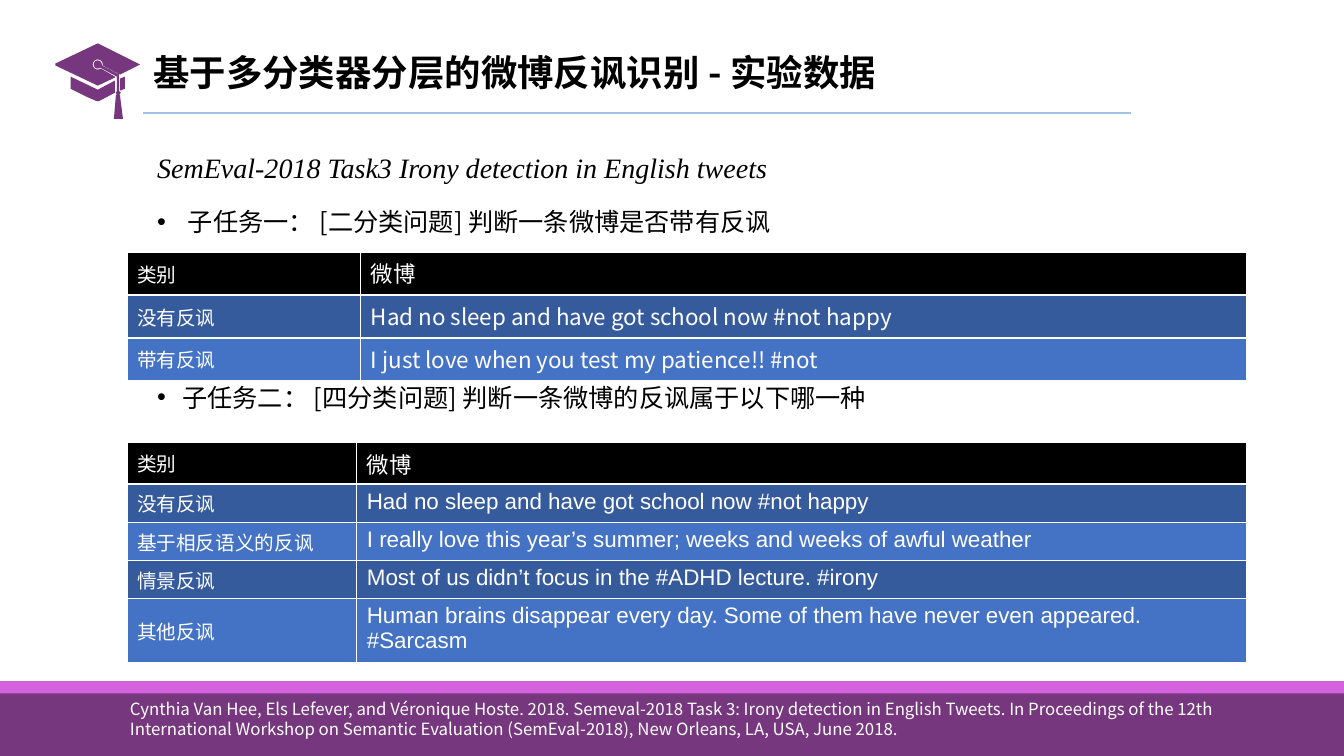
from math import cos, radians, sin

from lxml import etree
from pptx import Presentation
from pptx.dml.color import RGBColor
from pptx.enum.shapes import MSO_CONNECTOR, MSO_SHAPE
from pptx.enum.text import MSO_ANCHOR, PP_ALIGN
from pptx.oxml.ns import qn
from pptx.util import Inches, Pt

RECT, STRAIGHT = MSO_SHAPE.RECTANGLE, MSO_CONNECTOR.STRAIGHT
MIDDLE, TOP, LEFT = MSO_ANCHOR.MIDDLE, MSO_ANCHOR.TOP, PP_ALIGN.LEFT

WIDTH, HEIGHT = Inches(13.33), Inches(7.5)
SANS, ARIAL, SERIF = "Noto Sans CJK SC", "Arial", "Times New Roman"
COLORS = {
    "plum": "77377E", "orchid": "D661DD", "rule": "9DC3E6",
    "black": "000000", "white": "FFFFFF",
    "odd_row": "365B9D", "even_row": "4472C4",
}
TABLE_LEFT, TABLE_WIDTH = 9.45, 83.27

TITLE = "基于多分类器分层的微博反讽识别 - 实验数据"
DATASET = "SemEval-2018 Task3 Irony detection in English tweets"
SUBTASK_1 = " 子任务一： [二分类问题] 判断一条微博是否带有反讽"
SUBTASK_2 = "子任务二： [四分类问题] 判断一条微博的反讽属于以下哪一种"
HEADER = ("类别", "微博")
NO_IRONY = ("没有反讽", "Had no sleep and have got school now #not happy")
BINARY_ROWS = [
    HEADER,
    NO_IRONY,
    ("带有反讽", "I just love when you test my patience!! #not"),
]
FOUR_WAY_ROWS = [
    HEADER,
    NO_IRONY,
    ("基于相反语义的反讽",
     "I really love this year’s summer; weeks and weeks of awful weather"),
    ("情景反讽", "Most of us didn’t focus in the #ADHD lecture. #irony"),
    ("其他反讽", "Human brains disappear every day. Some of them have never "
     "even appeared. #Sarcasm"),
]
CITATION = (
    "Cynthia Van Hee, Els Lefever, and Véronique Hoste. 2018. Semeval-2018 "
    "Task 3: Irony detection in English Tweets. In Proceedings of the 12th "
    "International Workshop on Semantic Evaluation (SemEval-2018), "
    "New Orleans, LA, USA, June 2018.")


def across(percent):
    return int(WIDTH * percent / 100)


def down(percent):
    return int(HEIGHT * percent / 100)


def area(x, y, w, h):
    """Turn shares of the slide, in percent, into lengths."""
    return across(x), down(y), across(w), down(h)


def rgb(color):
    return RGBColor.from_string(COLORS[color])


def paint(shape, color):
    shape.shadow.inherit = False
    shape.fill.solid()
    shape.fill.fore_color.rgb = rgb(color)
    shape.line.fill.background()


def add_run(paragraph, text, size, color, font=SANS, bold=False, italic=False):
    run = paragraph.add_run()
    run.text = text
    run.font.name, run.font.size = font, Pt(size)
    run.font.bold, run.font.italic = bold, italic
    run.font.color.rgb = rgb(color)
    east_asian = etree.SubElement(run.font._element, qn("a:ea"))
    east_asian.set("typeface", SANS)


def add_bullet(paragraph):
    properties = paragraph._p.get_or_add_pPr()
    properties.set("marL", str(Inches(0.25)))
    properties.set("indent", str(-Inches(0.25)))
    font = etree.SubElement(properties, qn("a:buFont"))
    font.set("typeface", ARIAL)
    etree.SubElement(properties, qn("a:buChar")).set("char", "•")


def add_text_frame(slide, place):
    frame = slide.shapes.add_textbox(*place).text_frame
    frame.word_wrap = True
    return frame


def add_band(slide, y, h, color):
    paint(slide.shapes.add_shape(RECT, *area(0, y, 100, h)), color)


def add_title_rule(slide):
    y = down(14.93)
    rule = slide.shapes.add_connector(STRAIGHT, across(10.65), y, across(84.17), y)
    rule.line.color.rgb, rule.line.width = rgb("rule"), Pt(1.5)
    etree.SubElement(rule._element.spPr, qn("a:effectLst"))


def arc(radius, start, end, steps=16):
    """Points around the button of the cap, in hundredths of an inch."""
    angles = [radians(start + (end - start) * i / steps) for i in range(steps + 1)]
    return [(97 + radius * cos(a), 64 + radius * sin(a)) for a in angles]


def add_graduation_cap(slide):
    outlines = [
        # Side and front of the skull cap
        [(119, 90), (124, 88), (124, 76), (119, 78)],
        [(70, 76), (70, 88), (78, 92), (86, 96), (95, 100), (97, 100.5),
         (99, 100), (114, 92), (114, 80), (97, 89)],
        # Button with its cord
        [(118, 75), (118, 74), (101, 65), *arc(4, 0, -310), (116, 76)],
        # Board
        [(139, 64), (97, 43), (55, 63), (55, 65), (97, 85), (114, 77),
         (114, 76), (100, 68), *arc(5, 55, 370), (119, 74)],
        # Tassel
        [(118, 75), (118, 90), (120, 92), (118, 94), (119, 94), (122, 118),
         (113, 118), (115, 94), (116, 94), (115, 92), (116, 90), (116, 76)],
    ]
    outlines = [[(x * 10, y * 10) for x, y in points] for points in outlines]
    builder = slide.shapes.build_freeform(*outlines[0][0], scale=Inches(1) / 1000)
    for index, points in enumerate(outlines):
        if index:
            builder.move_to(*points[0])
        builder.add_line_segments(points[1:], close=True)
    paint(builder.convert_to_shape(), "plum")


def add_header_border(cell):
    border = etree.Element(qn("a:lnB"), w=str(Pt(2)))
    fill = etree.SubElement(border, qn("a:solidFill"))
    etree.SubElement(fill, qn("a:srgbClr")).set("val", COLORS["white"])
    cell._tc.get_or_add_tcPr().insert(0, border)


def add_tweet_table(slide, y, label_width, heights, rows, font):
    place = area(TABLE_LEFT, y, TABLE_WIDTH, sum(heights))
    table = slide.shapes.add_table(len(rows), 2, *place).table
    table.columns[0].width = across(label_width)
    table.columns[1].width = across(TABLE_WIDTH - label_width)
    for r, texts in enumerate(rows):
        table.rows[r].height = down(heights[r])
        color = "black" if r == 0 else ("even_row", "odd_row")[r % 2]
        for c, (text, size, anchor) in enumerate(zip(texts, (14, 16), (MIDDLE, TOP))):
            cell = table.cell(r, c)
            cell.fill.solid()
            cell.fill.fore_color.rgb = rgb(color)
            cell.vertical_anchor = anchor
            add_run(cell.text_frame.paragraphs[0], text, size, "white", font)
            if r == 0:
                add_header_border(cell)


def add_title(slide):
    title = slide.shapes.title
    title.left, title.top, title.width, title.height = area(10.65, 4.93, 71.57, 10)
    title.text_frame.vertical_anchor = MIDDLE
    paragraph = title.text_frame.paragraphs[0]
    paragraph.alignment, paragraph.line_spacing = LEFT, 0.9
    add_run(paragraph, TITLE, 26, "black", bold=True)


def add_task_outline(slide):
    frame = add_text_frame(slide, area(10.95, 17.87, 86.27, 63.47))
    dataset, binary, four_way = (
        frame.paragraphs[0], frame.add_paragraph(), frame.add_paragraph())
    for paragraph, gap in ((dataset, 6), (binary, 10), (four_way, 97)):
        paragraph.line_spacing, paragraph.space_before = 1.3, Pt(gap)
    add_run(dataset, DATASET, 20, "black", SERIF, italic=True)
    for paragraph, text in ((binary, SUBTASK_1), (four_way, SUBTASK_2)):
        add_bullet(paragraph)
        add_run(paragraph, text, 18, "black")


def main():
    deck = Presentation()
    deck.slide_width, deck.slide_height = WIDTH, HEIGHT
    slide = deck.slides.add_slide(deck.slide_layouts[5])

    # Heading
    add_title(slide)
    add_graduation_cap(slide)
    add_title_rule(slide)

    # Subtasks and their example tweets
    add_task_outline(slide)
    add_tweet_table(slide, 33.33, 17.4, [5.69] * 3, BINARY_ROWS, SANS)
    add_tweet_table(slide, 58.53, 17.1, [5.47, 5.07, 5.07, 5.07, 8],
                    FOUR_WAY_ROWS, ARIAL)

    # Footer with the source
    add_band(slide, 90.13, 9.87, "plum")
    citation = add_text_frame(slide, area(8.93, 91.73, 83.8, 6.67))
    add_run(citation.paragraphs[0], CITATION, 12, "white")
    add_band(slide, 90.13, 1.6, "orchid")

    deck.save("out.pptx")


if __name__ == "__main__":
    main()
